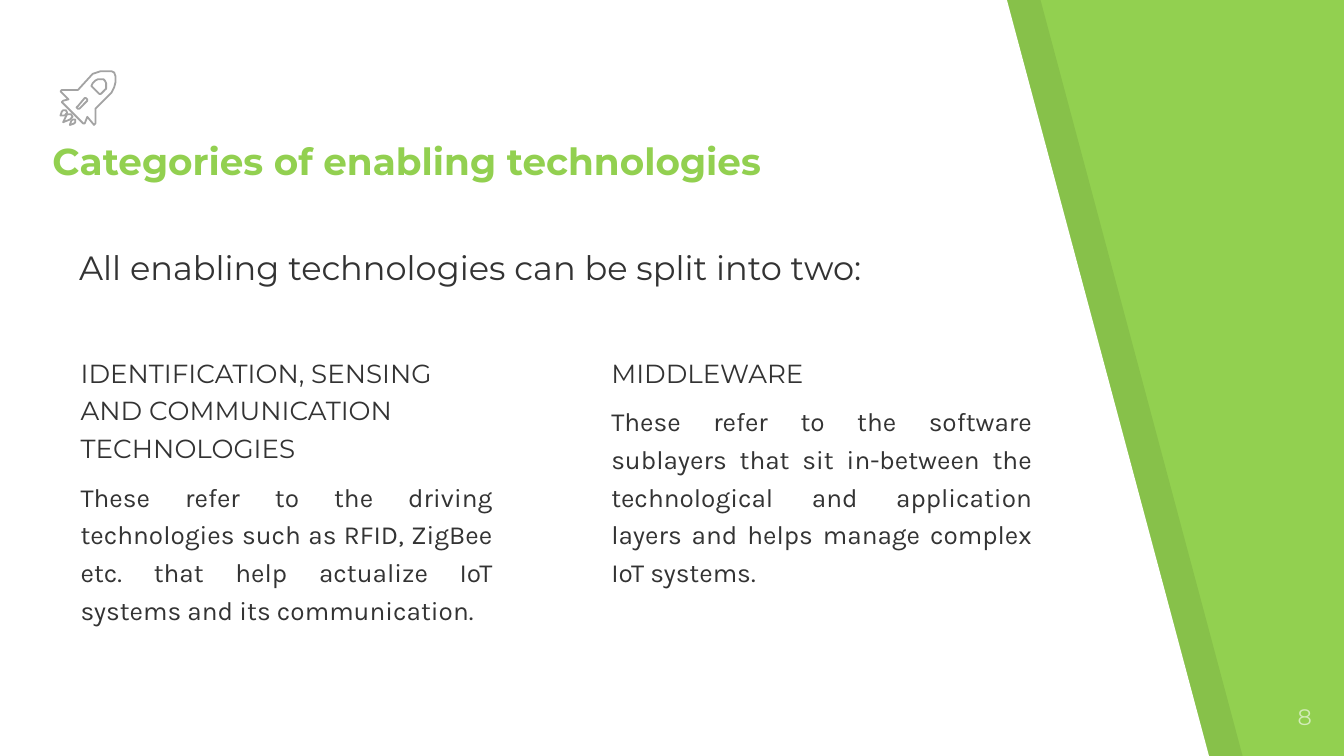
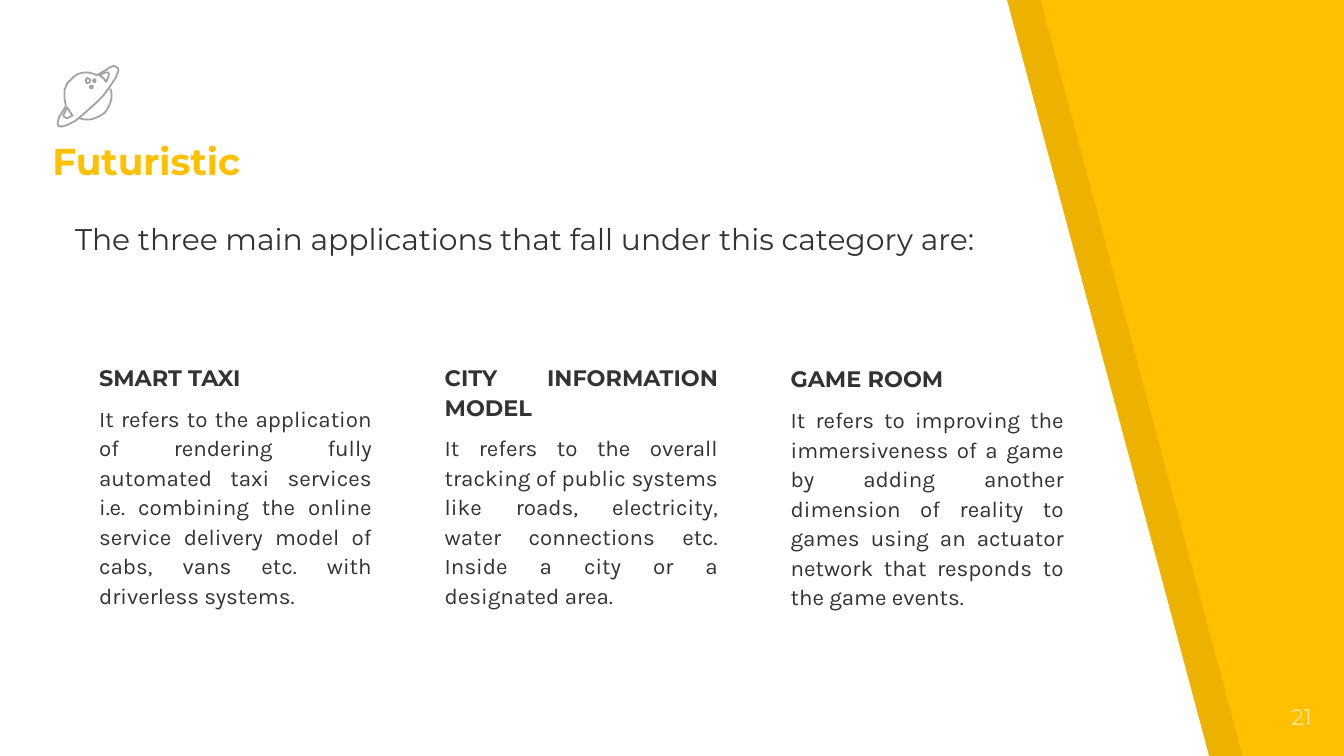
from lxml import etree
from pptx import Presentation
from pptx.dml.color import RGBColor
from pptx.enum import text
from pptx.util import Pt

LEFT, RIGHT, JUSTIFY = text.PP_ALIGN.LEFT, text.PP_ALIGN.RIGHT, text.PP_ALIGN.JUSTIFY
TOP, MIDDLE, BOTTOM = text.MSO_ANCHOR.TOP, text.MSO_ANCHOR.MIDDLE, text.MSO_ANCHOR.BOTTOM
A = "{http://schemas.openxmlformats.org/drawingml/2006/main}"
INK, ICON = "333333", "A3A3A3"
GRID = Pt(0.72)  # drawing unit of the outlines


def paint(fill, color):
    fill.solid()
    fill.fore_color.rgb = RGBColor.from_string(color)


def outline(s, contours, close=True):
    fb = s.shapes.build_freeform(*contours[0][0], scale=GRID)
    for i, points in enumerate(contours):
        if i:
            fb.move_to(*points[0])
        fb.add_line_segments(points[1:], close=close)
    sp = fb.convert_to_shape()
    sp.shadow.inherit = False
    return sp


# Icons: (closed?, contours) for each outline
rocket = [
    (True, [
        [(71, 92), (71, 81), (83, 69), (84, 67), (85, 65), (86, 61), (86, 57), (85, 54),
         (83, 53), (79, 53), (75, 53), (72, 54), (69, 55), (58, 67), (46, 67), (45, 68),
         (51, 74), (47, 75), (46, 76), (62, 92), (63, 92), (65, 87), (70, 93)],
        [(59, 81), (58, 81), (57, 80), (58, 79), (63, 73), (64, 73), (65, 74), (65, 75)],
        [(76, 69), (75, 70), (74, 70), (73, 69), (69, 65), (68, 64), (69, 62), (71, 60),
         (73, 59), (77, 59), (78, 60), (79, 62), (79, 66), (78, 67)],
    ]),
    (True, [[(53, 85), (50, 85), (49, 87), (47, 91), (52, 89), (53, 88), (54, 87)]]),
    (True, [[(56, 89), (54, 89), (53, 90), (52, 93), (55, 92), (56, 91)]]),
    (True, [[(49, 82), (47, 82), (46, 83), (45, 86), (48, 86), (49, 85), (50, 84)]]),
]
planet = [
    (False, [[(59, 88), (63, 89), (67, 89), (71, 88), (75, 86), (78, 84), (80, 81),
              (82, 77), (83, 73), (83, 69), (82, 66)]]),
    (True, [
        [(87, 50), (85, 49), (82, 50), (79, 52), (72, 56), (70, 55), (66, 54), (62, 54),
         (58, 55), (55, 57), (53, 59), (50, 62), (48, 67), (48, 73), (49, 79), (46, 84),
         (44, 87), (43, 91), (43, 93), (44, 94), (47, 94), (50, 93), (56, 90), (62, 85),
         (71, 77), (77, 71), (82, 64), (86, 58), (88, 53), (88, 51)],
        [(48, 87), (47, 86), (48, 84), (50, 80), (52, 83), (54, 86), (50, 88)],
        [(79, 61), (77, 58), (74, 56), (78, 54), (81, 54), (81, 56)],
        [(65, 62), (64, 61), (64, 59), (65, 58), (67, 59), (67, 61)],
        [(68, 66), (67, 65), (67, 64), (69, 64), (69, 65)],
        [(70, 61), (69, 60), (70, 59), (71, 59), (71, 61)],
    ]),
]

# Slide content; boxes are left, top, width, height
slides = [
    dict(
        accent="92D050", pale="D3ECB9", number="8", icon=rocket,
        title="Categories of enabling technologies",
        lead="All enabling technologies can be split into two:",
        lead_box=(35.3, 121, 500.4, 43.9), lead_size=18,
        head=dict(size=Pt(14), bold=False), head_align=LEFT, spacing=1.2,
        columns=[
            ((36, 180.7, 235.4, 159.1),
             "IDENTIFICATION, SENSING AND COMMUNICATION TECHNOLOGIES",
             "These refer to the driving technologies such as RFID, ZigBee etc. that help "
             "actualize IoT systems and its communication."),
            ((320.4, 180.7, 239.8, 159.1),
             "MIDDLEWARE",
             "These refer to the software sublayers that sit in-between the technological "
             "and application layers and helps manage complex IoT systems."),
        ],
    ),
    dict(
        accent="FFC000", pale="FFE699", number="21", icon=planet,
        title="Futuristic",
        lead="The three main applications that fall under this category are:",
        lead_box=(33.1, 105.8, 500.4, 43.9), lead_size=16,
        head=dict(size=Pt(12), bold=True), head_align=JUSTIFY, spacing=1.1,
        columns=[
            ((45.9, 186.5, 160.6, 219.6),
             "SMART TAXI",
             "It refers to the application of rendering fully automated taxi services i.e. "
             "combining the online service delivery model of cabs, vans etc. with "
             "driverless systems."),
            ((231.2, 186.5, 160.6, 219.6),
             "CITY INFORMATION MODEL",
             "It refers to the overall tracking of public systems like roads, electricity, "
             "water connections etc. Inside a city or a designated area."),
            ((416.5, 187.2, 160.6, 218.9),
             "GAME ROOM",
             "It refers to improving the immersiveness of a game by adding another "
             "dimension of reality to games using an actuator network that responds to "
             "the game events."),
        ],
    ),
]

prs = Presentation()
prs.slide_width, prs.slide_height = Pt(720), Pt(405)
layout = prs.slide_layouts[1]

for n, d in enumerate(slides):
    s = prs.slides.add_slide(layout)
    paint(s.background.fill, d["accent"])

    # Slanted shade and white page, moved once into the shared layout
    if n == 0:
        for i, (left, color) in enumerate([(25, "000000"), (0, "FFFFFF")]):
            sp = outline(s, [[(left, -1), (left, 564), (left + 900, 564), (left + 749, -1)]])
            paint(sp.fill, color)
            sp.line.fill.background()
            if color == "000000":
                clr = sp.element.spPr.find(f"{A}solidFill/{A}srgbClr")
                etree.SubElement(clr, A + "alpha", val="7000")
            sp.element.nvSpPr.cNvPr.id = 20 + i
            layout.shapes.element.insert(2 + i, sp.element)

    # Icon
    for closed, contours in d["icon"]:
        sp = outline(s, contours, closed)
        sp.fill.background()
        paint(sp.line.fill, ICON)
        sp.line.width = Pt(0.96)

    # Texts: box, anchor, paragraphs of (text, colour, run format, paragraph format)
    plain = dict(alignment=LEFT, space_before=Pt(0))
    blocks = [((20.9, 67, 517, 38.2), BOTTOM, [
        (d["title"], d["accent"], dict(size=Pt(20), bold=True), plain)])]
    for box, head, body in d["columns"]:
        gap = dict(line_spacing=d["spacing"], space_before=Pt(6))
        blocks.append((box, TOP, [
            (head, INK, d["head"], dict(gap, alignment=d["head_align"])),
            (body, INK, dict(d["head"], bold=False, name="Karla"),
             dict(gap, alignment=JUSTIFY))]))
    blocks += [
        (d["lead_box"], MIDDLE, [(d["lead"], INK, dict(size=Pt(d["lead_size"])), plain)]),
        ((666.7, 369.4, 43.2, 31), TOP, [
            (d["number"], d["pale"], dict(size=Pt(12)), dict(plain, alignment=RIGHT))]),
    ]

    # Title and first column fill the placeholders, the rest are text boxes
    holders = list(s.placeholders)
    for i, (box, anchor, paragraphs) in enumerate(blocks):
        box = [Pt(v) for v in box]
        sp = holders[i] if i < len(holders) else s.shapes.add_textbox(*box)
        sp.left, sp.top, sp.width, sp.height = box
        tf = sp.text_frame
        tf.word_wrap, tf.auto_size, tf.vertical_anchor = True, text.MSO_AUTO_SIZE.NONE, anchor
        for side in ("left", "top", "right", "bottom"):
            setattr(tf, "margin_" + side, Pt(7.2))
        for j, (words, color, run_format, par_format) in enumerate(paragraphs):
            p = tf.add_paragraph() if j else tf.paragraphs[0]
            for key, value in par_format.items():
                setattr(p, key, value)
            pPr = p._p.get_or_add_pPr()
            pPr.set("marL", "0")
            pPr.set("indent", "0")
            etree.SubElement(pPr, A + "buNone")
            r = p.add_run()
            r.text = words
            for key, value in dict(dict(name="Montserrat"), **run_format).items():
                setattr(r.font, key, value)
            paint(r.font.fill, color)

prs.save("out.pptx")
